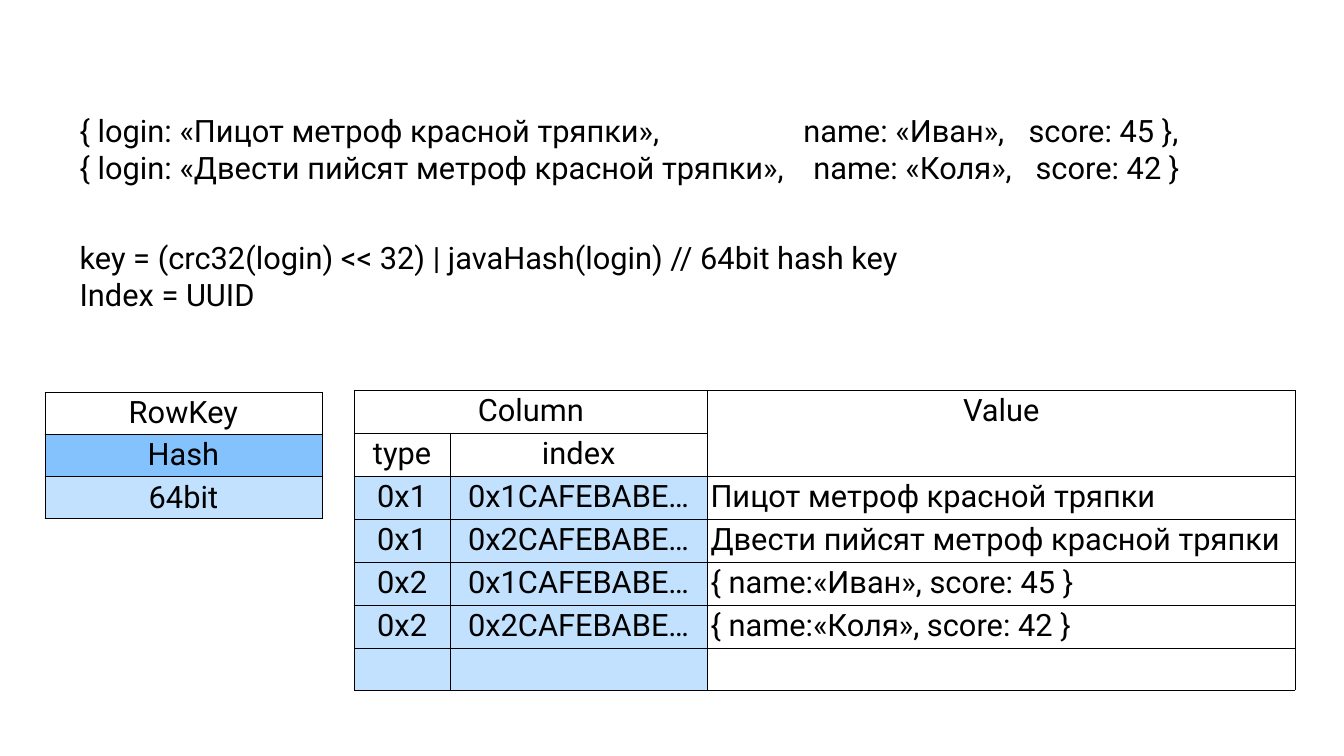
from lxml import etree
from pptx import Presentation
from pptx.dml.color import RGBColor
from pptx.enum import text
from pptx.oxml import ns
from pptx.util import Inches, Pt

COLORS = {"ink": "000000", "paper": "FFFFFF", "hash": "83C2FD", "key": "C1E1FE"}
FONT, SIZE = "Roboto", Pt(44)
MARGIN = 0.06
ROW_HEIGHT = 0.83

RECORDS = [
    "{ login: «Пицот метроф красной тряпки»,\tname: «Иван»,\tscore: 45 },",
    "{ login: «Двести пийсят метроф красной тряпки»,\tname: «Коля»,\tscore: 42 }",
]
RECORD_TABS = [(14.36, 18.83), (14.56, 18.97)]
KEY_RULES = [
    "key = (crc32(login) << 32) | javaHash(login) // 64bit hash key",
    "Index = UUID",
]
ROW_KEY = [["RowKey"], ["Hash"], ["64bit"]]
STORAGE = [
    ["Column", "", "Value"],
    ["type", "index", ""],
    ["0x1", "0x1CAFEBABE…", "Пицот метроф красной тряпки"],
    ["0x1", "0x2CAFEBABE…", "Двести пийсят метроф красной тряпки"],
    ["0x2", "0x1CAFEBABE…", "{ name:«Иван», score: 45 }"],
    ["0x2", "0x2CAFEBABE…", "{ name:«Коля», score: 42 }"],
    ["", "", ""],
]


def color(name):
    return RGBColor.from_string(COLORS[name])


def set_margins(holder):
    for side in ("left", "right", "top", "bottom"):
        setattr(holder, f"margin_{side}", Inches(MARGIN))


def format_runs(para, align):
    para.alignment = align
    for span in para.runs:
        span.font.name = FONT
        span.font.size = SIZE
        span.font.color.rgb = color("ink")


def add_tab_stops(para, positions):
    props = para._p.get_or_add_pPr()
    stops = etree.SubElement(props, ns.qn("a:tabLst"))
    for position in positions:
        etree.SubElement(stops, ns.qn("a:tab"), pos=str(Inches(position)), algn="l")


def add_lines(page, box, lines):
    """Add one paragraph per line and return the paragraphs."""
    frame = page.shapes.add_textbox(*map(Inches, box)).text_frame
    frame.word_wrap = True
    frame.auto_size = text.MSO_AUTO_SIZE.SHAPE_TO_FIT_TEXT
    frame.vertical_anchor = text.MSO_ANCHOR.MIDDLE
    set_margins(frame)
    frame.text = "\n".join(lines)
    for para in frame.paragraphs:
        format_runs(para, text.PP_ALIGN.LEFT)
    return frame.paragraphs


def add_borders(cell):
    props = cell._tc.get_or_add_tcPr()
    for side in ("lnL", "lnR", "lnT", "lnB"):
        line = etree.SubElement(props, ns.qn(f"a:{side}"), w=str(Pt(1)))
        fill = etree.SubElement(line, ns.qn("a:solidFill"))
        etree.SubElement(fill, ns.qn("a:srgbClr"), val=COLORS["ink"])


def add_grid(page, left, top, widths, rows, fill_for, align_for):
    """Add a bordered table; fill_for and align_for take a row and a column."""
    box = (left, top, sum(widths), ROW_HEIGHT * len(rows))
    table = page.shapes.add_table(len(rows), len(widths), *map(Inches, box)).table
    table.first_row = table.horz_banding = False
    for column, width in zip(table.columns, widths):
        column.width = Inches(width)
    for r, values in enumerate(rows):
        table.rows[r].height = Inches(ROW_HEIGHT)
        for c, value in enumerate(values):
            cell = table.cell(r, c)
            set_margins(cell)
            add_borders(cell)
            cell.fill.solid()
            cell.fill.fore_color.rgb = color(fill_for(r, c))
            cell.text = value
            format_runs(cell.text_frame.paragraphs[0], align_for(r, c))
    return table


def add_row_key(page, left, top):
    fills = ["paper", "hash", "key"]
    add_grid(page, left, top, [5.5], ROW_KEY,
             lambda r, c: fills[r], lambda r, c: text.PP_ALIGN.CENTER)


def add_storage(page, left, top):
    def fill_for(r, c):
        return "key" if r >= 2 and c < 2 else "paper"

    def align_for(r, c):
        return text.PP_ALIGN.LEFT if r >= 2 and c == 2 else text.PP_ALIGN.CENTER

    table = add_grid(page, left, top, [1.9, 5.11, 11.66], STORAGE, fill_for, align_for)
    table.cell(0, 0).merge(table.cell(0, 1))
    table.cell(0, 2).merge(table.cell(1, 2))


def main():
    deck = Presentation()
    deck.slide_width, deck.slide_height = Inches(26.67), Inches(15)
    page = deck.slides.add_slide(deck.slide_layouts[6])
    page.background.fill.solid()
    page.background.fill.fore_color.rgb = color("paper")

    add_row_key(page, 0.89, 7.78)
    records = add_lines(page, (1.52, 2.16, 24.18, 1.59), RECORDS)
    for para, positions in zip(records, RECORD_TABS):
        add_tab_stops(para, positions)
    add_lines(page, (1.52, 4.67, 20.63, 1.59), KEY_RULES)
    add_storage(page, 7.03, 7.74)
    deck.save("out.pptx")


if __name__ == "__main__":
    main()
